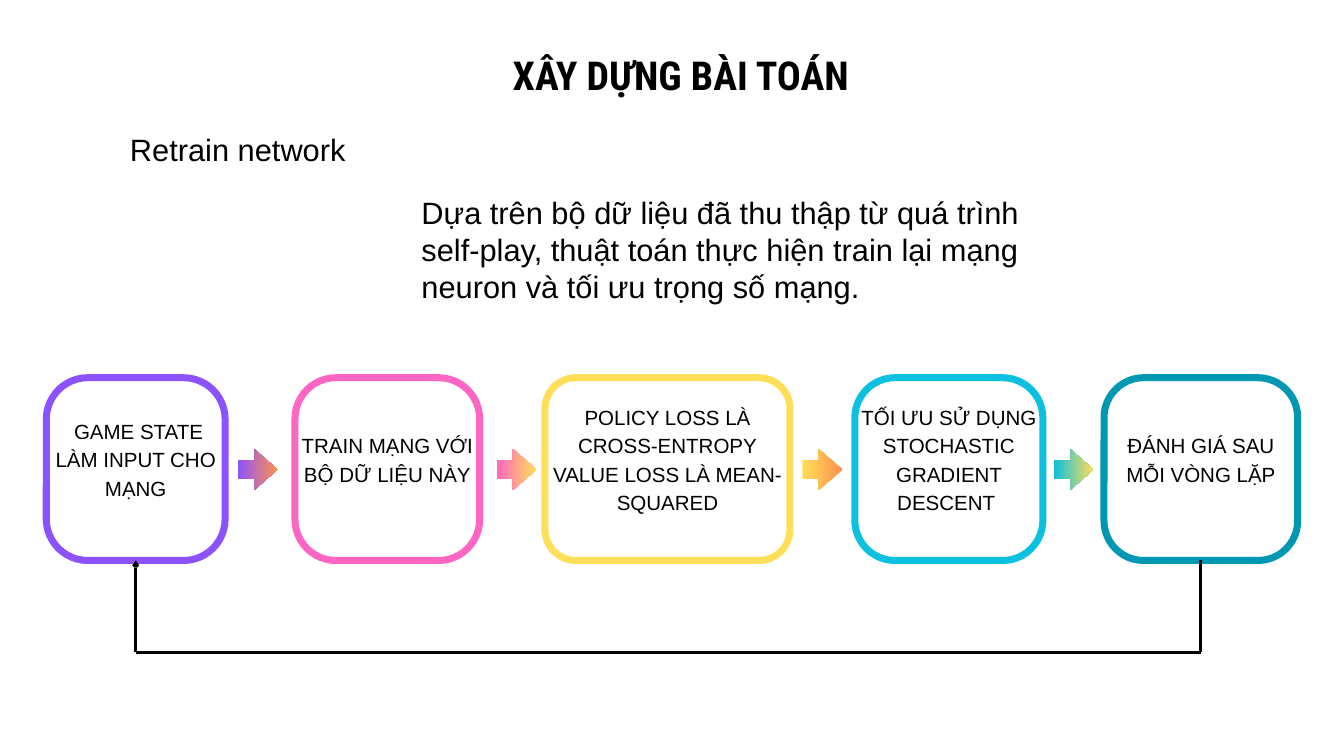
from lxml import etree
from pptx import Presentation
from pptx.dml.color import RGBColor
from pptx.enum.shapes import MSO_CONNECTOR, MSO_SHAPE
from pptx.enum.text import MSO_ANCHOR, PP_ALIGN
from pptx.oxml.ns import qn
from pptx.util import Cm, Pt

ROUNDED = MSO_SHAPE.ROUNDED_RECTANGLE
ARROW = MSO_SHAPE.RIGHT_ARROW
STRAIGHT = MSO_CONNECTOR.STRAIGHT
TOP, MIDDLE = MSO_ANCHOR.TOP, MSO_ANCHOR.MIDDLE
LEFT, CENTER = PP_ALIGN.LEFT, PP_ALIGN.CENTER

BLACK = RGBColor(0x00, 0x00, 0x00)
WHITE = RGBColor(0xFF, 0xFF, 0xFF)
PURPLE = RGBColor(0x8C, 0x52, 0xFF)
PINK = RGBColor(0xFF, 0x66, 0xC4)
YELLOW = RGBColor(0xFF, 0xDE, 0x59)
ORANGE = RGBColor(0xFF, 0x91, 0x4D)
CYAN = RGBColor(0x0C, 0xC0, 0xDF)
TEAL = RGBColor(0x00, 0x97, 0xB2)

STEP_TOP, STEP_HEIGHT = 14.28, 6.91
STEPS = [
    (1.75, 6.76, 1.57, PURPLE, " GAME STATE LÀM INPUT CHO MẠNG"),
    (11.15, 6.98, 1.55, PINK, "TRAIN MẠNG VỚI BỘ DỮ LIỆU NÀY"),
    (20.6, 9.26, 1.17, YELLOW,
     "POLICY LOSS LÀ CROSS-ENTROPY\nVALUE LOSS LÀ MEAN-SQUARED"),
    (32.31, 7.11, 1.52, CYAN, "TỐI ƯU SỬ DỤNG STOCHASTIC GRADIENT DESCENT "),
    (41.73, 7.32, 1.5, TEAL, "ĐÁNH GIÁ SAU MỖI VÒNG LẶP"),
]
ARROWS = [
    (8.99, PURPLE, ORANGE),
    (18.77, PINK, YELLOW),
    (30.33, YELLOW, ORANGE),
    (39.83, CYAN, YELLOW),
]


def add_text(s, x, y, w, h, text, size, spacing, font="Arial", bold=False,
             align=CENTER, anchor=TOP, inset=0):
    tf = s.shapes.add_textbox(Cm(x), Cm(y), Cm(w), Cm(h)).text_frame
    tf.word_wrap = True
    tf.vertical_anchor = anchor
    tf.margin_left = tf.margin_right = Cm(inset)
    tf.margin_top = tf.margin_bottom = Cm(inset)
    tf.text = text
    for p in tf.paragraphs:
        p.alignment = align
        p.line_spacing = Pt(spacing)
        for r in p.runs:
            r.font.name = font
            r.font.size = Pt(size)
            r.font.bold = bold
            r.font.color.rgb = BLACK


def add_step(s, x, y, w, h, radius, color, text):
    sp = s.shapes.add_shape(ROUNDED, Cm(x), Cm(y), Cm(w), Cm(h))
    sp.adjustments[0] = radius / min(w, h)
    sp.shadow.inherit = False
    sp.fill.solid()
    sp.fill.fore_color.rgb = WHITE
    sp.line.color.rgb = color
    sp.line.width = Pt(7.5)
    rise = 0.85
    add_text(s, x, y - rise, w, h + rise, text, 22, 30.4,
             anchor=MIDDLE, inset=0.15)


def add_arrow(s, x, y, w, h, start, end):
    sp = s.shapes.add_shape(ARROW, Cm(x), Cm(y), Cm(w), Cm(h))
    sp.adjustments[0] = 0.44
    sp.adjustments[1] = 0.59
    sp.shadow.inherit = False
    sp.line.fill.background()
    sp.fill.gradient()
    sp.fill.gradient_angle = 0
    for stop, color in zip(sp.fill.gradient_stops, (start, end)):
        stop.color.rgb = color


def add_line(s, x1, y1, x2, y2, arrowhead=False):
    line = s.shapes.add_connector(STRAIGHT, Cm(x1), Cm(y1), Cm(x2), Cm(y2))
    line.line.color.rgb = BLACK
    line.line.width = Pt(3)
    if arrowhead:
        ln = line.line._get_or_add_ln()
        etree.SubElement(ln, qn("a:tailEnd"), type="arrow", w="sm", len="sm")
    etree.SubElement(line._element.spPr, qn("a:effectLst"))


def add_loop(s, x, y, w, h):
    add_line(s, x, y + h, x, y, arrowhead=True)
    add_line(s, x, y + h, x + w, y + h)
    add_line(s, x + w, y, x + w, y + h)


def add_heading(s, x, y):
    add_text(s, x + 15.1, y, 13.1, 1.83, "XÂY DỰNG BÀI TOÁN", 42.7, 51.3,
             font="Roboto Condensed", bold=True)
    add_text(s, x, y + 3.02, 9.8, 1.55, "Retrain network", 33, 39.6)
    add_text(s, x + 11.84, y + 5.39, 23.88, 4.32,
             "Dựa trên bộ dữ liệu đã thu thập từ quá trình self-play, "
             "thuật toán thực hiện train lại mạng neuron và tối ưu "
             "trọng số mạng.", 33, 39.6, align=LEFT)


def add_process(s, y, h):
    for x, w, radius, color, text in STEPS:
        add_step(s, x, y, w, h, radius, color, text)
    for x, start, end in ARROWS:
        add_arrow(s, x, y + 2.69, 1.5, 1.56, start, end)
    first, last = [x + w / 2 for x, w, *_ in (STEPS[0], STEPS[-1])]
    add_loop(s, first, y + h, last - first, 3.47)


def main():
    prs = Presentation()
    prs.slide_width, prs.slide_height = Cm(50.8), Cm(28.58)
    s = prs.slides.add_slide(prs.slide_layouts[6])
    add_heading(s, 4.09, 1.93)
    add_process(s, STEP_TOP, STEP_HEIGHT)
    prs.save("out.pptx")


if __name__ == "__main__":
    main()
